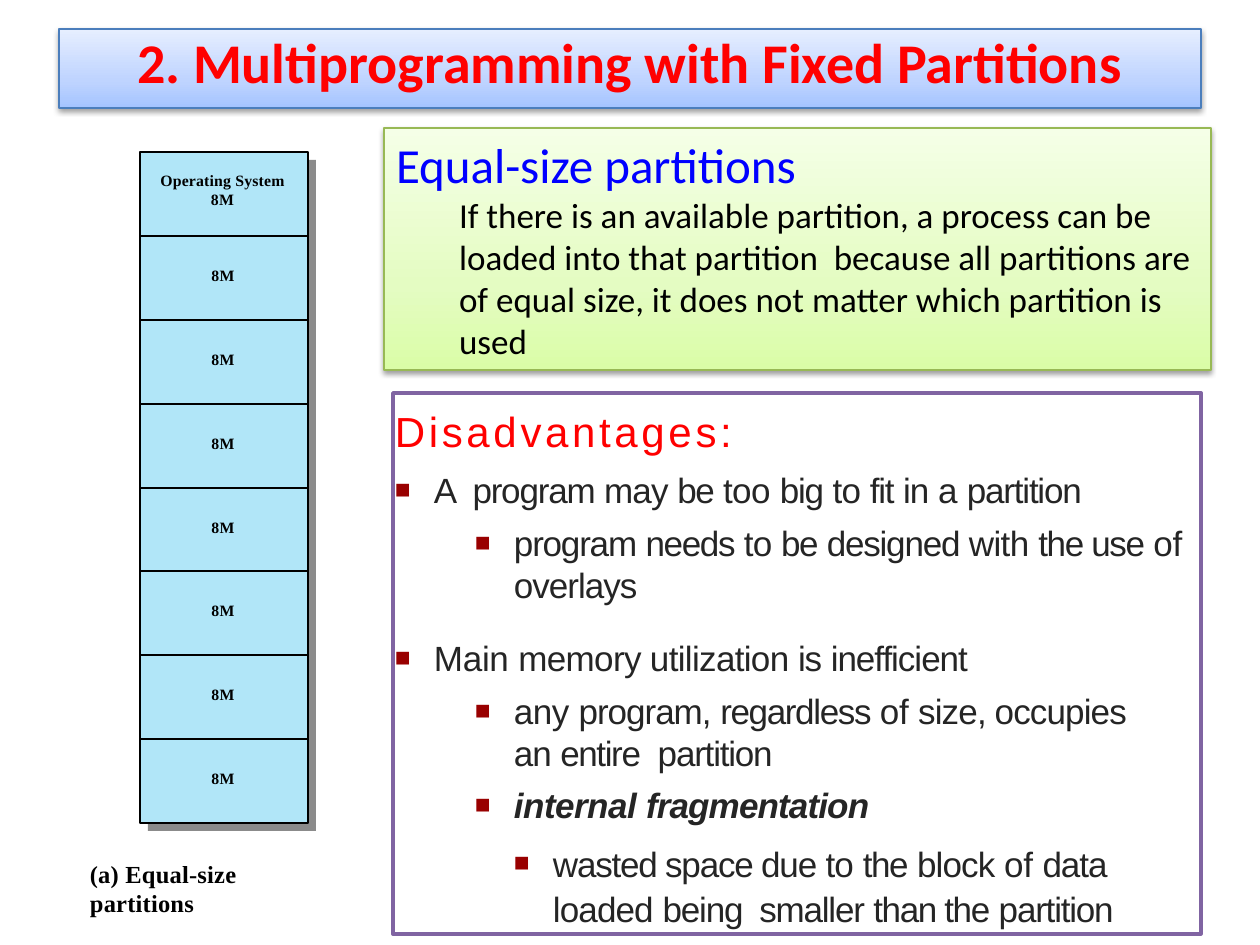
from copy import deepcopy
from dataclasses import dataclass

from lxml import etree
from pptx import Presentation
from pptx.dml.color import RGBColor
from pptx.enum.shapes import MSO_CONNECTOR, MSO_SHAPE
from pptx.enum.text import MSO_ANCHOR, MSO_AUTO_SIZE, PP_ALIGN
from pptx.oxml.ns import qn
from pptx.util import Emu, Inches, Pt

RECTANGLE, STRAIGHT = MSO_SHAPE.RECTANGLE, MSO_CONNECTOR.STRAIGHT
CENTER, LEFT = PP_ALIGN.CENTER, PP_ALIGN.LEFT
TOP = MSO_ANCHOR.TOP
NO_AUTOFIT = MSO_AUTO_SIZE.NONE
PX_PER_INCH = 126


@dataclass(frozen=True)
class Theme:
    heading_font: str = "Calibri"
    list_font: str = "Arial"
    diagram_font: str = "Times New Roman"
    title_size: int = 32
    topic_size: int = 28
    heading_size: int = 24
    text_size: int = 20
    caption_size: int = 14
    cell_size: int = 9
    black: str = "000000"
    white: str = "FFFFFF"
    red: str = "FF0000"
    blue: str = "0000FF"
    list_text: str = "252525"
    bullet: str = "990000"
    cell: str = "B1E6F8"
    cell_shadow: str = "8B8B8B"
    title_line: str = "4B7EBC"
    topic_line: str = "98B955"
    list_line: str = "8064A2"
    title_gradient: tuple[str, ...] = ("A4C4FF", "BFD4FF", "E6EEFF")
    topic_gradient: tuple[str, ...] = ("DAFDA7", "E4FCC2", "F5FFE7")
    gradient_positions: tuple[float, ...] = (0, 0.35, 1)


THEME = Theme()


@dataclass(frozen=True)
class Box:
    left: int
    top: int
    width: int
    height: int


@dataclass(frozen=True)
class Style:
    size: int
    color: str
    font: str
    bold: bool = False
    italic: bool = False


@dataclass(frozen=True)
class Line:
    runs: tuple[tuple[str, float], ...]
    style: Style
    level: int = 0
    indent: int = 0
    hanging: int = 0
    right: int = 0
    before: float = 0
    spacing: float | Pt | None = None
    bulleted: bool = False
    align: PP_ALIGN = LEFT


TITLE = Style(THEME.title_size, THEME.red, THEME.heading_font, bold=True)
TOPIC = Style(THEME.topic_size, THEME.blue, THEME.heading_font)
EXPLANATION = Style(THEME.text_size, THEME.black, THEME.heading_font)
HEADING = Style(THEME.heading_size, THEME.red, THEME.list_font)
POINT = Style(THEME.text_size, THEME.list_text, THEME.list_font)
TERM = Style(THEME.text_size, THEME.list_text, THEME.list_font, bold=True, italic=True)
CAPTION = Style(THEME.caption_size, THEME.black, THEME.diagram_font, bold=True)
CELL = Style(THEME.cell_size, THEME.black, THEME.diagram_font, bold=True)


def px(length: int) -> Emu:
    """Convert whole pixels to EMU."""
    return Emu(round(length * Inches(1) / PX_PER_INCH))


def point(*runs: tuple[str, float], level: int = 0, indent: int = 40, before: float = 7,
          style: Style = POINT, right: int = 0, spacing: float | Pt | None = None) -> Line:
    """Describe one bulleted line of the disadvantages."""
    return Line(runs, style, level, indent, 39, right, before, spacing, True)


def place(shape, box: Box) -> None:
    """Move and size a shape."""
    shape.left, shape.top = px(box.left), px(box.top)
    shape.width, shape.height = px(box.width), px(box.height)


def outline(shape, color: str, width: float) -> None:
    """Set the outline of a shape."""
    shape.line.color.rgb = RGBColor.from_string(color)
    shape.line.width = Pt(width)


def fill_plain(shape, color: str) -> None:
    """Fill a shape with one colour and no shadow."""
    shape.fill.solid()
    shape.fill.fore_color.rgb = RGBColor.from_string(color)
    shape.shadow.inherit = False


def fill_raised(shape, colors: tuple[str, ...]) -> None:
    """Give a shape a vertical gradient and a soft shadow."""
    shape.fill.gradient()
    shape.fill.gradient_angle = 90
    properties = shape._element.spPr
    stops = properties.find(".//" + qn("a:gsLst"))
    stops.append(deepcopy(stops[-1]))
    for stop, color, position in zip(shape.fill.gradient_stops, colors, THEME.gradient_positions):
        stop.color.rgb = RGBColor.from_string(color)
        stop.position = position
    shape.shadow.inherit = False
    shadow = etree.SubElement(properties.find(qn("a:effectLst")), qn("a:outerShdw"),
                              blurRad=str(Pt(3.1)), dist=str(Pt(1.6)), dir="5400000", rotWithShape="0")
    shade = etree.SubElement(shadow, qn("a:srgbClr"), val=THEME.black)
    etree.SubElement(shade, qn("a:alpha"), val="38000")


def format_paragraph(paragraph, line: Line) -> None:
    """Write one line with its indents, bullet and font."""
    paragraph.level = line.level
    properties = paragraph._p.get_or_add_pPr()
    for side, length in (("marL", line.indent), ("indent", -line.hanging), ("marR", line.right)):
        properties.set(side, str(px(length)))
    if line.bulleted:
        color = etree.SubElement(properties, qn("a:buClr"))
        etree.SubElement(color, qn("a:srgbClr"), val=THEME.bullet)
        etree.SubElement(properties, qn("a:buSzPct"), val="75000")
        etree.SubElement(properties, qn("a:buChar"), char="■")
    else:
        etree.SubElement(properties, qn("a:buNone"))
    paragraph.alignment = line.align
    paragraph.space_before = Pt(line.before)
    if line.spacing is not None:
        paragraph.line_spacing = line.spacing
    font, style = paragraph.font, line.style
    font.name, font.size = style.font, Pt(style.size)
    font.bold, font.italic = style.bold, style.italic
    font.color.rgb = RGBColor.from_string(style.color)
    for text, tracking in line.runs:
        run = paragraph.add_run()
        run.text = text
        if tracking:
            run._r.get_or_add_rPr().set("spc", str(round(tracking * 100)))


def write(shape, lines: tuple[Line, ...], insets: tuple[int, int, int, int] = (0, 0, 0, 0)) -> None:
    """Fill a text frame with lines; insets run left, top, right, bottom."""
    frame = shape.text_frame
    frame.word_wrap, frame.auto_size, frame.vertical_anchor = True, NO_AUTOFIT, TOP
    frame.margin_left, frame.margin_top, frame.margin_right, frame.margin_bottom = map(px, insets)
    for index, line in enumerate(lines):
        format_paragraph(frame.add_paragraph() if index else frame.paragraphs[0], line)


def draw_block(slide, box: Box, color: str):
    """Draw a plain rectangle without an outline."""
    block = slide.shapes.add_shape(RECTANGLE, px(box.left), px(box.top), px(box.width), px(box.height))
    fill_plain(block, color)
    block.line.fill.background()
    return block


def draw_label(slide, box: Box, lines: tuple[Line, ...], top_inset: int) -> None:
    """Draw a text box."""
    label = slide.shapes.add_textbox(px(box.left), px(box.top), px(box.width), px(box.height))
    write(label, lines, (0, top_inset, 0, 0))


def draw_memory(slide, memory: Box, partitions: int) -> None:
    """Draw equal partitions of one memory block over an offset shadow."""
    draw_block(slide, Box(memory.left + 8, memory.top + 8, memory.width, memory.height), THEME.cell_shadow)
    outline(draw_block(slide, memory, THEME.cell), THEME.black, 1.3)
    size = Line((("8M", 0.1),), CELL, align=CENTER)
    system = Line((("Operating System", 0.1),), CELL, align=CENTER)
    draw_label(slide, Box(memory.left + 18, memory.top + 17, 129, 43), (system, size), 2)
    for row in range(1, partitions):
        top = memory.top + round(memory.height * row / partitions)
        divider = slide.shapes.add_connector(STRAIGHT, px(memory.left), px(top),
                                             px(memory.left + memory.width), px(top))
        outline(divider, THEME.black, 1.3)
        etree.SubElement(divider._element.spPr, qn("a:effectLst"))
        draw_label(slide, Box(memory.left + 69, top + 26, 28, 23), (size,), 4)


EXPLANATION_TEXT = ("If there is an available partition, a process can be loaded into that partition  "
                    "because all partitions are of equal size, it does not matter which partition is used")
DISADVANTAGES = (
    Line((("Disadvantages:", 2.1),), HEADING, indent=40, hanging=39),
    point(("A ", 2.1), ("program ", -0.7), ("may ", -0.5), ("be ", -0.9), ("too ", -0.3), ("big ", -0.7),
          ("to ", -0.5), ("fit ", -0.7), ("in ", -0.6), ("a ", -0.3), ("partition", -0.7)),
    point(("program ", -0.7), ("needs ", -0.8), ("to ", -0.5), ("be ", -0.9), ("designed ", -0.7),
          ("with ", -0.4), ("the use ", -0.8), ("of ", -0.2), ("overlays", -0.6),
          level=1, indent=120, before=6),
    point(("Main ", -0.2), ("memory utilization ", -0.4), ("is ", -0.7), ("inefficient", -0.6), before=18),
    point(("any ", -0.3), ("program, ", -0.6), ("regardless ", -0.8), ("of ", -0.2), ("size, occupies ", -0.5),
          ("an ", -0.7), ("entire  ", -0.8), ("partition", -0.7), level=1, indent=120, before=6, right=50),
    point(("internal ", -0.3), ("fragmentation", -0.5), level=1, indent=120, before=5.7, style=TERM),
    point(("wasted space due ", -0.7), ("to ", -0.5), ("the ", -0.8), ("block ", -0.5), ("of ", -0.2),
          ("data ", -0.6), ("loaded ", -0.5), ("being  smaller ", -0.7), ("than the ", -0.8),
          ("partition", -0.7), level=2, indent=159, before=7.4, spacing=Pt(26.2)),
)


def main() -> None:
    """Build and save the slide."""
    deck = Presentation()
    deck.slide_width, deck.slide_height = Inches(10), Inches(7.5)
    slide = deck.slides.add_slide(deck.slide_layouts[3])
    title, topic, disadvantages = slide.placeholders

    place(title, Box(59, 29, 1142, 79))
    fill_raised(title, THEME.title_gradient)
    outline(title, THEME.title_line, 0.75)
    write(title, (Line((("2. Multiprogramming with Fixed Partitions", 0),), TITLE, spacing=0.9, align=CENTER),),
          (13, 6, 13, 6))

    place(topic, Box(384, 128, 827, 242))
    fill_raised(topic, THEME.topic_gradient)
    outline(topic, THEME.topic_line, 0.75)
    write(topic, (Line((("Equal-size partitions", 0),), TOPIC),
                  Line(((EXPLANATION_TEXT, 0),), EXPLANATION, level=1, indent=63)), (12, 7, 13, 6))

    place(disadvantages, Box(393, 393, 808, 541))
    fill_plain(disadvantages, THEME.white)
    outline(disadvantages, THEME.list_line, 2)
    write(disadvantages, DISADVANTAGES, (1, 13, 0, 0))

    draw_memory(slide, Box(140, 152, 168, 671), 8)
    caption = Line((("(a) Equal-size partitions", 0.1),), CAPTION, indent=1)
    draw_label(slide, Box(89, 855, 250, 64), (caption,), 4)
    deck.save("out.pptx")


if __name__ == "__main__":
    main()
